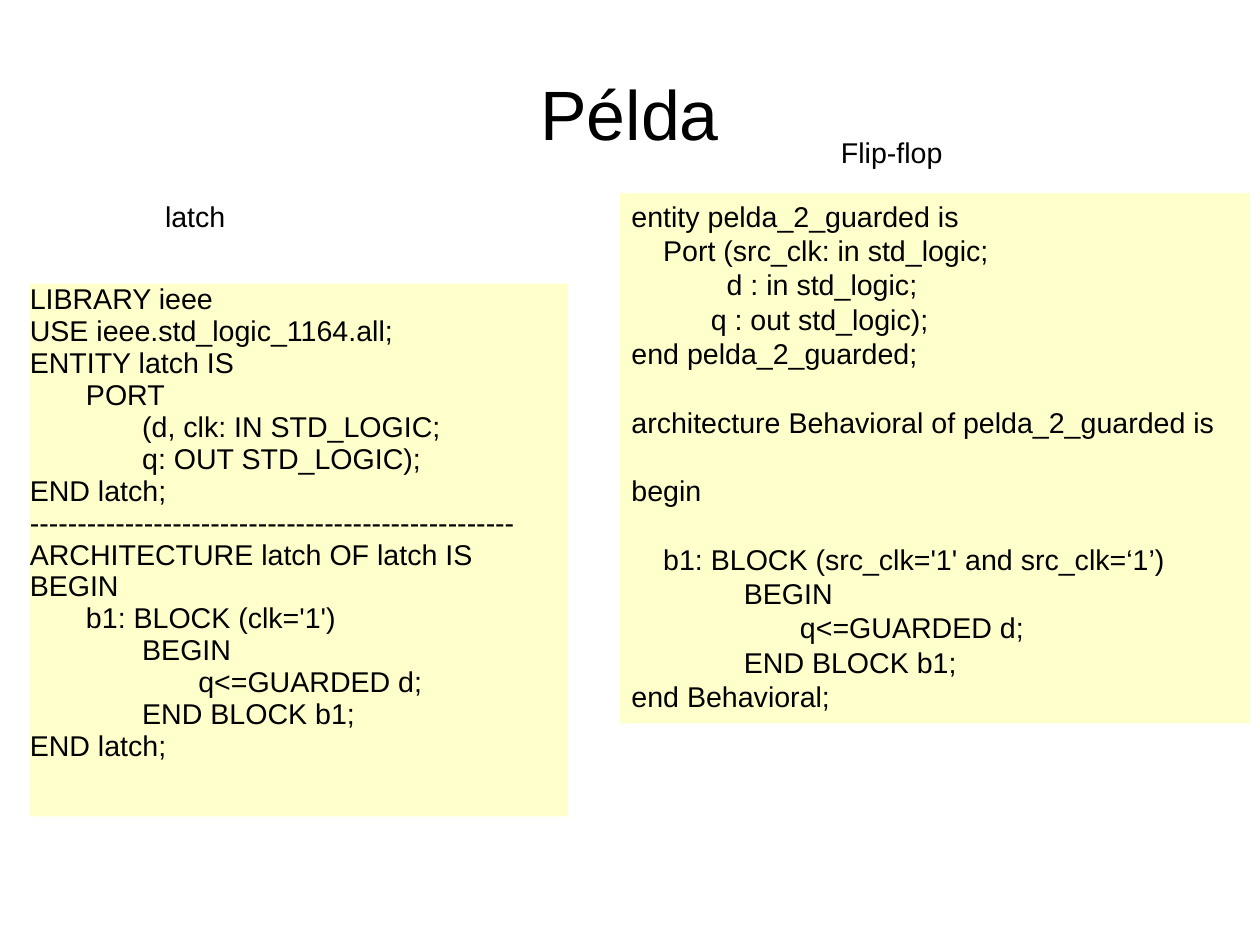
from pptx import Presentation
from pptx.dml.color import RGBColor
from pptx.enum.shapes import MSO_SHAPE as Shape
from pptx.enum.text import MSO_ANCHOR as Anchor, PP_ALIGN as Align
from pptx.util import Pt

BLACK = RGBColor(0x00, 0x00, 0x00)
CREAM = RGBColor(0xFF, 0xFF, 0xCC)
TAB = 35.4     # one indent step in the code, in points
SPACE = 5      # width of one space at 18 pt
LINE = 21.6    # height of one line at 18 pt

presentation = Presentation()
presentation.slide_width, presentation.slide_height = Pt(793.75), Pt(595.25)
slide = presentation.slides.add_slide(presentation.slide_layouts[6])


def style(paragraph, size, spacing):
    paragraph.font.size = Pt(size)
    paragraph.font.name = "Arial"
    paragraph.font.color.rgb = BLACK
    paragraph.line_spacing = spacing


def add_code(left, top, width, height, inset, line_height, lines):
    box = slide.shapes.add_shape(Shape.RECTANGLE, Pt(left), Pt(top), Pt(width), Pt(height))
    box.shadow.inherit = False
    box.fill.solid()
    box.fill.fore_color.rgb = CREAM
    box.line.fill.background()
    frame = box.text_frame
    frame.word_wrap = True
    frame.vertical_anchor = Anchor.TOP
    frame.margin_left = frame.margin_right = Pt(2 * inset)
    frame.margin_top = frame.margin_bottom = Pt(inset)
    for index, (indent, gap_lines, text) in enumerate(lines):
        paragraph = frame.add_paragraph() if index else frame.paragraphs[0]
        paragraph.text = text
        paragraph.alignment = Align.LEFT
        paragraph.space_before = Pt(gap_lines * line_height)
        style(paragraph, 18, Pt(line_height))
        properties = paragraph._p.get_or_add_pPr()
        properties.set("marL", str(Pt(indent)))
        properties.set("indent", "0")


# Title
title = slide.shapes.add_textbox(Pt(39.6), Pt(23.8), Pt(714.2), Pt(99.4))
frame = title.text_frame
frame.word_wrap = True
frame.vertical_anchor = Anchor.MIDDLE
frame.margin_left = frame.margin_right = frame.margin_top = frame.margin_bottom = 0
frame.text = "Példa"
frame.paragraphs[0].alignment = Align.CENTER
style(frame.paragraphs[0], 44, 0.93)

# Code of the latch: indent, blank lines above, text
add_code(18.8, 178.6, 339.2, 335.6, 0, 20.1, [
    (0, 0, "LIBRARY ieee"),
    (0, 0, "USE ieee.std_logic_1164.all;"),
    (0, 0, "ENTITY latch IS"),
    (TAB, 0, "PORT"),
    (2 * TAB, 0, "(d, clk: IN STD_LOGIC;"),
    (2 * TAB, 0, "q: OUT STD_LOGIC);"),
    (0, 0, "END latch;"),
    (0, 0, "-" * 51),
    (0, 0, "ARCHITECTURE latch OF latch IS"),
    (0, 0, "BEGIN"),
    (TAB, 0, "b1: BLOCK (clk='1')"),
    (2 * TAB, 0, "BEGIN"),
    (3 * TAB, 0, "q<=GUARDED d;"),
    (2 * TAB, 0, "END BLOCK b1;"),
    (0, 0, "END latch;"),
])

# Code of the flip-flop
add_code(390.7, 121.7, 396.7, 334.1, 3.6, LINE, [
    (0, 0, "entity pelda_2_guarded is"),
    (4 * SPACE, 0, "Port (src_clk: in std_logic;"),
    (12 * SPACE, 0, "d : in std_logic;"),
    (10 * SPACE, 0, "q : out std_logic);"),
    (0, 0, "end pelda_2_guarded;"),
    (0, 1, "architecture Behavioral of pelda_2_guarded is"),
    (0, 1, "begin"),
    (4 * SPACE, 1, "b1: BLOCK (src_clk='1' and src_clk=‘1’)"),
    (2 * TAB, 0, "BEGIN"),
    (3 * TAB, 0, "q<=GUARDED d;"),
    (2 * TAB, 0, "END BLOCK b1;"),
    (0, 0, "end Behavioral;"),
])

# Labels above the code
for left, top, width, text in [(96.9, 121.7, 52.6, "latch"), (522.7, 81.4, 79.2, "Flip-flop")]:
    label = slide.shapes.add_textbox(Pt(left), Pt(top), Pt(width), Pt(28.8))
    label.text_frame.word_wrap = False
    label.text_frame.text = text
    style(label.text_frame.paragraphs[0], 18, Pt(LINE))

presentation.save("out.pptx")
